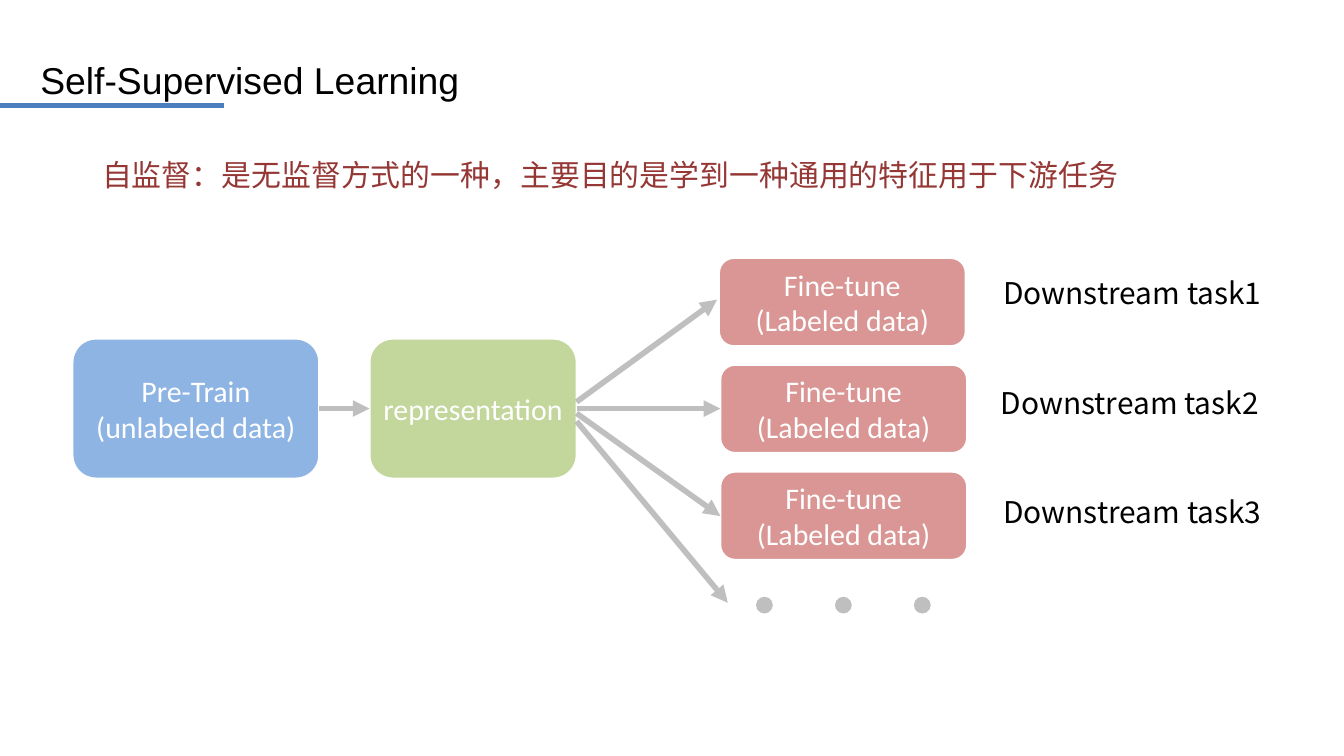
from typing import NamedTuple

from lxml.etree import SubElement
from pptx import Presentation
from pptx.dml.color import RGBColor as RGB
from pptx.enum.shapes import MSO_CONNECTOR as Connector, MSO_SHAPE as Shape
from pptx.enum.text import MSO_ANCHOR as Anchor, MSO_AUTO_SIZE as AutoSize, PP_ALIGN as Align
from pptx.oxml.ns import qn
from pptx.util import Inches, Pt

COLORS = {
    "accent": "4B7EBC",
    "black": "000000",
    "white": "FFFFFF",
    "note": "953735",
    "pretrain": "8EB4E3",
    "representation": "C3D69B",
    "finetune": "D99694",
    "gray": "BFBFBF",
}
CJK = "Noto Sans CJK SC"


class Box(NamedTuple):
    left: float
    top: float
    width: float
    height: float
    color: str
    text: str


class Line(NamedTuple):
    x1: float
    y1: float
    x2: float
    y2: float
    color: str = "gray"
    width: float = 6
    arrow: bool = True


class Label(NamedTuple):
    left: float
    top: float
    width: float
    text: str
    color: str = "black"


def rgb(name: str) -> RGB:
    return RGB.from_string(COLORS[name])


def write(s, text: str, *, size=32, font="Calibri", color="white", align=Align.LEFT) -> None:
    tf = s.text_frame
    tf.word_wrap = True
    tf.auto_size = AutoSize.NONE
    tf.vertical_anchor = Anchor.MIDDLE
    for i, line in enumerate(text.split("\n")):
        p = tf.add_paragraph() if i else tf.paragraphs[0]
        p.alignment = align
        r = p.add_run()
        r.text = line
        r.font.size = Pt(size)
        r.font.color.rgb = rgb(color)
        r.font.name = font
        SubElement(r.font._element, qn("a:ea")).set("typeface", font)


def draw_box(sp, box: Box) -> None:
    s = sp.add_shape(Shape.ROUNDED_RECTANGLE, *map(Inches, box[:4]))
    s.shadow.inherit = False
    s.fill.solid()
    s.fill.fore_color.rgb = rgb(box.color)
    s.line.color.rgb = rgb("white")
    s.line.width = Pt(2)
    write(s, box.text, align=Align.CENTER)


def draw_line(sp, line: Line) -> None:
    s = sp.add_connector(Connector.STRAIGHT, *map(Inches, line[:4]))
    s.line.color.rgb = rgb(line.color)
    s.line.width = Pt(line.width)
    if line.arrow:
        SubElement(s.line._get_or_add_ln(), qn("a:tailEnd")).set("type", "triangle")
    SubElement(s._element.spPr, qn("a:effectLst"))


def draw_label(sp, label: Label) -> None:
    s = sp.add_textbox(*map(Inches, (label.left, label.top, label.width, 0.64)))
    write(s, label.text, font=CJK, color=label.color)


def draw_dot(sp, left: float, top: float, size: float = 0.25) -> None:
    s = sp.add_shape(Shape.OVAL, *map(Inches, (left, top, size, size)))
    s.shadow.inherit = False
    s.fill.solid()
    s.fill.fore_color.rgb = rgb("gray")
    s.line.fill.background()


BOXES = [
    Box(1.08, 5.04, 3.67, 2.08, "pretrain", "Pre-Train\n(unlabeled data)"),
    Box(5.5, 5.04, 3.08, 2.08, "representation", "representation"),
] + [
    Box(left, 3.84 + 1.59 * i, 3.67, 1.31, "finetune", "Fine-tune\n(Labeled data)")
    for i, left in enumerate((10.7, 10.72, 10.72))
]
LINES = [
    Line(0, 1.57, 3.33, 1.57, "accent", 4.5, False),
    Line(4.75, 6.08, 5.5, 6.08),
    Line(8.58, 5.98, 10.67, 4.46),
    Line(8.58, 6.08, 10.72, 6.08),
    Line(8.58, 6.15, 10.72, 7.68),
    Line(8.58, 6.27, 10.83, 8.97),
]
LABELS = [
    Label(1.42, 2.28, 15.58, "自监督：是无监督方式的一种，主要目的是学到一种通用的特征用于下游任务", "note"),
] + [
    Label(left, 4.04 + 1.625 * i, 4.42, f"Downstream task{i + 1}")
    for i, left in enumerate((14.83, 14.79, 14.83))
]


def main() -> None:
    prs = Presentation()
    prs.slide_width, prs.slide_height = Inches(20), Inches(11.25)
    slide = prs.slides.add_slide(prs.slide_layouts[5])
    sp = slide.shapes

    title = sp.title
    title.left, title.top, title.width, title.height = map(Inches, (0.5, 0.8, 8.08, 0.77))
    write(title, "Self-Supervised Learning", size=40, font="Arial", color="black")

    for box in BOXES:
        draw_box(sp, box)
    for line in LINES:
        draw_line(sp, line)
    for label in LABELS:
        draw_label(sp, label)
    for i in range(3):
        draw_dot(sp, 11.25 + 1.175 * i, 8.88)

    prs.save("out.pptx")


if __name__ == "__main__":
    main()
